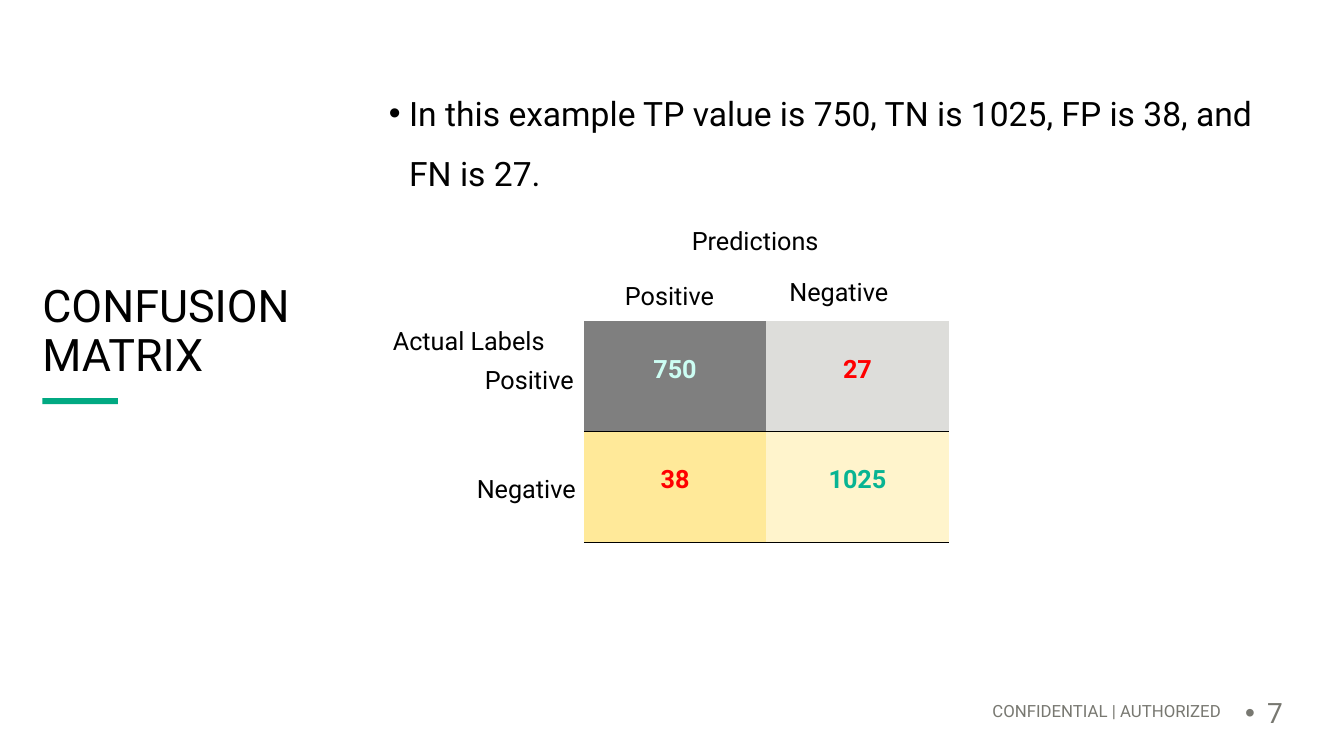
from typing import NamedTuple

from lxml import etree
from pptx import Presentation
from pptx import util as u
from pptx.dml.color import RGBColor
from pptx.enum import shapes, text
from pptx.oxml import ns

FONT = "Roboto"
GREEN = RGBColor(0x01, 0xA9, 0x82)
BLACK = RGBColor(0x00, 0x00, 0x00)
FOOTER_GREY = RGBColor(0x78, 0x78, 0x71)
RED = RGBColor(0xFF, 0x00, 0x00)
MINT = RGBColor(0xCC, 0xFD, 0xF3)
TEAL = RGBColor(0x08, 0xB4, 0x93)
DARK_GREY = RGBColor(0x7F, 0x7F, 0x7F)
LIGHT_GREY = RGBColor(0xDD, 0xDD, 0xDA)
YELLOW = RGBColor(0xFF, 0xE9, 0x99)
PALE_YELLOW = RGBColor(0xFF, 0xF4, 0xCC)
NO_TABLE_STYLE = "{2D5ABB26-0587-4C30-8999-92F81FD0307C}"


class Box(NamedTuple):
    left: float
    top: float
    width: float
    height: float

    def lengths(self) -> list:
        return [u.Inches(value) for value in self]


class Label(NamedTuple):
    words: str
    left: float
    top: float


class Count(NamedTuple):
    value: str
    color: RGBColor
    fill: RGBColor


LABELS = [
    Label("Actual Labels", 4.15, 2.9),
    Label("Predictions", 6.99, 1.9),
    Label("Positive", 6.14, 2.45),
    Label("Negative", 7.82, 2.41),
    Label("Positive", 4.75, 3.28),
    Label("Negative", 4.72, 4.36),
]
MATRIX = [
    [Count("750", MINT, DARK_GREY), Count("27", RED, LIGHT_GREY)],
    [Count("38", RED, YELLOW), Count("1025", TEAL, PALE_YELLOW)],
]


def add_run(paragraph, words: str, size: float, color: RGBColor, bold: bool = False) -> None:
    run = paragraph.add_run()
    run.text = words
    run.font.name = FONT
    run.font.size = u.Pt(size)
    run.font.bold = bold
    run.font.color.rgb = color


def set_frame(frame, anchor, inset_x: float = 0.1, inset_y: float = 0.05, wrap: bool = True) -> None:
    frame.word_wrap = wrap
    frame.auto_size = text.MSO_AUTO_SIZE.NONE
    frame.vertical_anchor = anchor
    frame.margin_left = frame.margin_right = u.Inches(inset_x)
    frame.margin_top = frame.margin_bottom = u.Inches(inset_y)


def add_text(slide, box: Box, anchor, align, spacing: float = 0.9, **frame_options):
    """Add a text box and return its first paragraph."""
    frame = slide.shapes.add_textbox(*box.lengths()).text_frame
    set_frame(frame, anchor, **frame_options)
    paragraph = frame.paragraphs[0]
    paragraph.alignment = align
    paragraph.line_spacing = spacing
    return paragraph


def add_bullet(paragraph, indent: float) -> None:
    properties = paragraph._p.get_or_add_pPr()
    properties.set("marL", str(u.Inches(indent)))
    properties.set("indent", str(u.Inches(-indent)))
    etree.SubElement(properties, ns.qn("a:buFont")).set("typeface", "Arial")
    etree.SubElement(properties, ns.qn("a:buChar")).set("char", "•")


def add_bar(slide, box: Box) -> None:
    bar = slide.shapes.add_shape(shapes.MSO_SHAPE.RECTANGLE, *box.lengths())
    bar.shadow.inherit = False
    bar.fill.solid()
    bar.fill.fore_color.rgb = GREEN
    bar.line.fill.background()


def add_borders(cell) -> None:
    """Rule the top and bottom of a cell; borders precede the fill."""
    properties = cell._tc.get_or_add_tcPr()
    for position, side in enumerate(("a:lnT", "a:lnB")):
        border = etree.Element(ns.qn(side), w=str(u.Pt(0.5)))
        fill = etree.SubElement(border, ns.qn("a:solidFill"))
        etree.SubElement(fill, ns.qn("a:srgbClr")).set("val", str(BLACK))
        properties.insert(position, border)


def add_matrix(slide, box: Box) -> None:
    table = slide.shapes.add_table(2, 2, *box.lengths()).table
    table.first_row = table.horz_banding = False
    table._tbl.tblPr.find(ns.qn("a:tableStyleId")).text = NO_TABLE_STYLE
    for row, counts in enumerate(MATRIX):
        for column, count in enumerate(counts):
            cell = table.cell(row, column)
            cell.fill.solid()
            cell.fill.fore_color.rgb = count.fill
            cell.margin_top = u.Inches(0.34)
            paragraph = cell.text_frame.paragraphs[0]
            paragraph.alignment = text.PP_ALIGN.CENTER
            add_run(paragraph, count.value, 18, count.color, bold=True)
            if row == 1:
                add_borders(cell)


def main() -> None:
    presentation = Presentation()
    presentation.slide_width = u.Inches(13.33)
    presentation.slide_height = u.Inches(7.5)
    slide = presentation.slides.add_slide(presentation.slide_layouts[5])
    top, middle, bottom = text.MSO_ANCHOR.TOP, text.MSO_ANCHOR.MIDDLE, text.MSO_ANCHOR.BOTTOM
    left, center, right = text.PP_ALIGN.LEFT, text.PP_ALIGN.CENTER, text.PP_ALIGN.RIGHT

    # Title and green accent
    title = slide.shapes.title
    title.left, title.top, title.width, title.height = Box(0.32, 2.93, 3.87, 0.95).lengths()
    set_frame(title.text_frame, bottom, inset_y=0.1)
    paragraph = title.text_frame.paragraphs[0]
    paragraph.alignment = left
    paragraph.line_spacing = 0.9
    add_run(paragraph, "CONFUSION", 32, BLACK)
    paragraph.add_line_break()
    add_run(paragraph, "MATRIX", 32, BLACK)
    add_bar(slide, Box(0.42, 3.95, 0.75, 0.06))

    # Footer and slide number
    paragraph = add_text(slide, Box(4.07, 6.7, 8.14, 0.45), bottom, right, inset_y=0)
    add_run(paragraph, "CONFIDENTIAL | AUTHORIZED", 12, FOOTER_GREY)
    paragraph = add_text(slide, Box(12.25, 6.89, 0.75, 0.4), middle, left)
    add_bullet(paragraph, 0.22)
    add_run(paragraph, "7", 20, FOOTER_GREY)

    # Explanation
    paragraph = add_text(slide, Box(3.76, 0.67, 9.13, 1.3), top, left, spacing=1.5)
    add_bullet(paragraph, 0.2)
    add_run(paragraph, "In this example TP value is 750, TN is 1025, FP is 38, and FN is 27.", 24, BLACK)

    # Confusion matrix with its labels
    add_matrix(slide, Box(5.79, 3.18, 3.62, 2.2))
    for label in LABELS:
        box = Box(label.left, label.top, 1, 1)
        paragraph = add_text(slide, box, middle, center, inset_y=0.1, wrap=False)
        add_run(paragraph, label.words, 18, BLACK)

    presentation.save("out.pptx")


if __name__ == "__main__":
    main()
